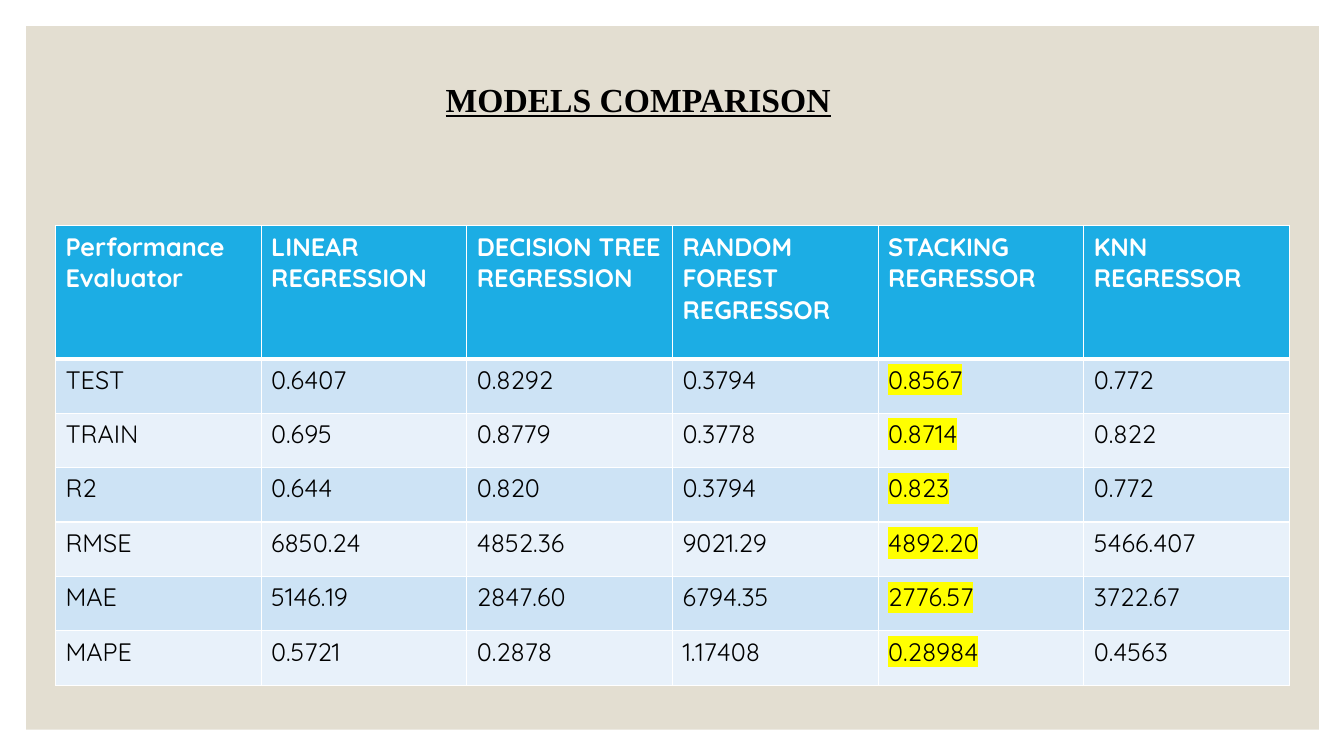
from dataclasses import dataclass

from lxml.etree import SubElement
from pptx import Presentation
from pptx.dml.color import RGBColor
from pptx.enum.shapes import MSO_SHAPE
from pptx.enum.text import MSO_ANCHOR, PP_ALIGN
from pptx.oxml import parse_xml
from pptx.oxml.ns import nsdecls, qn
from pptx.util import Inches, Pt

COLORS = {
    "panel": "E3DED1",
    "header": "1CADE4",
    "odd_row": "CDE3F5",
    "even_row": "E8F1FA",
    "highlight": "FFFF00",
    "white": "FFFFFF",
    "black": "000000",
}
COLUMN_WIDTH = 2.04
HEADER_HEIGHT = 1.32
ROW_HEIGHT = 0.54
BEST_MODEL = 4
EVALUATOR_HEADING = "Performance\nEvaluator"
METRICS = ["TEST", "TRAIN", "R2", "RMSE", "MAE", "MAPE"]


@dataclass
class Model:
    heading: str
    scores: list[str]


MODELS = [
    Model("LINEAR\nREGRESSION", ["0.6407", "0.695", "0.644", "6850.24", "5146.19", "0.5721"]),
    Model("DECISION TREE\nREGRESSION", ["0.8292", "0.8779", "0.820", "4852.36", "2847.60", "0.2878"]),
    Model("RANDOM FOREST REGRESSOR", ["0.3794", "0.3778", "0.3794", "9021.29", "6794.35", "1.17408"]),
    Model("STACKING\nREGRESSOR", ["0.8567", "0.8714", "0.823", "4892.20", "2776.57", "0.28984"]),
    Model("KNN REGRESSOR", ["0.772", "0.822", "0.772", "5466.407", "3722.67", "0.4563"]),
]


def rgb(color: str) -> RGBColor:
    return RGBColor.from_string(COLORS[color])


def write_text(frame, text: str, *, size: int = 18, font: str = "Quicksand",
               color: str = "black", bold: bool = False, underline: bool = False,
               align=PP_ALIGN.LEFT, highlight: str = "") -> None:
    frame.word_wrap = True
    for index, line in enumerate(text.split("\n")):
        paragraph = frame.paragraphs[0] if index == 0 else frame.add_paragraph()
        paragraph.alignment = align
        run = paragraph.add_run()
        run.text = line
        run.font.size = Pt(size)
        run.font.name = font
        run.font.bold = bold
        run.font.underline = underline
        run.font.color.rgb = rgb(color)
        if highlight:
            properties = run.font._element
            marker = SubElement(properties, qn("a:highlight"))
            SubElement(marker, qn("a:srgbClr"), val=COLORS[highlight])
            properties.find(qn("a:solidFill")).addnext(marker)


def set_borders(cell, top: int, bottom: int) -> None:
    properties = cell._tc.get_or_add_tcPr()
    sides = {"L": 1, "R": 1, "T": top, "B": bottom}
    for index, (side, points) in enumerate(sides.items()):
        properties.insert(index, parse_xml(
            f'<a:ln{side} {nsdecls("a")} w="{Pt(points)}"><a:solidFill>'
            f'<a:srgbClr val="{COLORS["white"]}"/></a:solidFill></a:ln{side}>'))


def add_panel(slide) -> None:
    panel = slide.shapes.add_shape(
        MSO_SHAPE.RECTANGLE, Inches(0.26), Inches(0.26), Inches(12.82), Inches(6.98))
    panel.shadow.inherit = False
    panel.fill.solid()
    panel.fill.fore_color.rgb = rgb("panel")
    panel.line.fill.background()
    slide.shapes.title._element.addprevious(panel._element)


def add_title(slide) -> None:
    title = slide.shapes.title
    title.left, title.top = Inches(2.69), Inches(0.73)
    title.width, title.height = Inches(7.28), Inches(0.5)
    title.text_frame.vertical_anchor = MSO_ANCHOR.MIDDLE
    write_text(title.text_frame, "MODELS COMPARISON", size=24, font="Times New Roman",
               bold=True, underline=True, align=PP_ALIGN.CENTER)


def add_comparison(slide) -> None:
    columns = [[EVALUATOR_HEADING, *METRICS]]
    columns += [[model.heading, *model.scores] for model in MODELS]
    row_count = len(METRICS) + 1
    comparison = slide.shapes.add_table(
        row_count, len(columns), Inches(0.55), Inches(2.24),
        Inches(COLUMN_WIDTH * len(columns)),
        Inches(HEADER_HEIGHT + ROW_HEIGHT * len(METRICS))).table
    for row_index, row in enumerate(comparison.rows):
        row.height = Inches(ROW_HEIGHT if row_index else HEADER_HEIGHT)
    for column_index, entries in enumerate(columns):
        comparison.columns[column_index].width = Inches(COLUMN_WIDTH)
        for row_index, entry in enumerate(entries):
            is_header = row_index == 0
            is_best = column_index == BEST_MODEL and not is_header
            band = "odd_row" if row_index % 2 else "even_row"
            cell = comparison.cell(row_index, column_index)
            cell.fill.solid()
            cell.fill.fore_color.rgb = rgb("header" if is_header else band)
            set_borders(cell, top=3 if row_index == 1 else 1, bottom=3 if is_header else 1)
            write_text(cell.text_frame, entry, bold=is_header,
                       color="white" if is_header else "black",
                       highlight="highlight" if is_best else "")


def main() -> None:
    presentation = Presentation()
    presentation.slide_width, presentation.slide_height = Inches(13.33), Inches(7.5)
    slide = presentation.slides.add_slide(presentation.slide_layouts[5])
    add_panel(slide)
    add_title(slide)
    add_comparison(slide)
    presentation.save("out.pptx")


if __name__ == "__main__":
    main()
